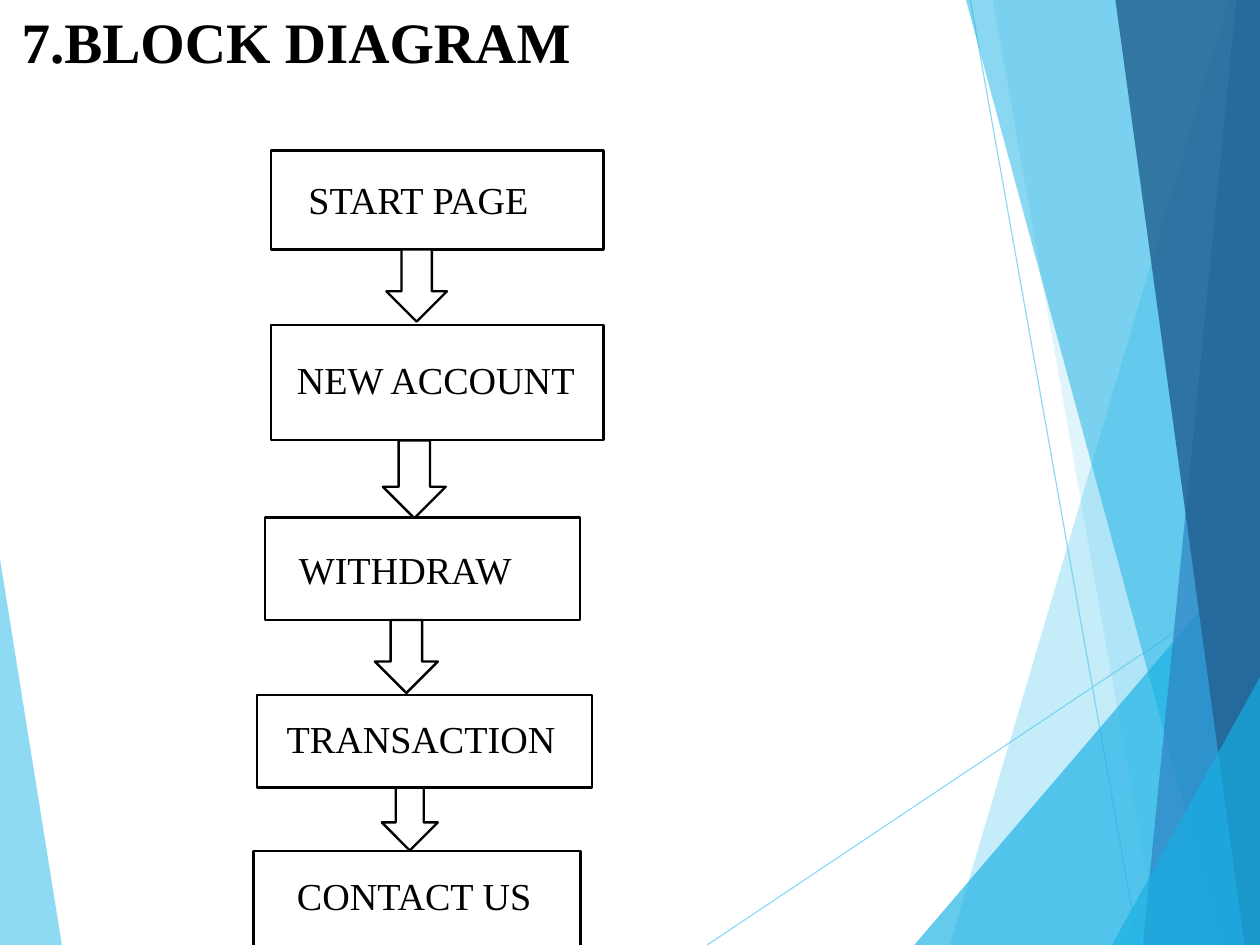
from pptx import Presentation
from pptx.dml.color import RGBColor
from pptx.enum.shapes import MSO_CONNECTOR as Link, MSO_SHAPE as Kind
from pptx.enum.text import MSO_ANCHOR as Anchor
from pptx.oxml.ns import qn
from pptx.util import Pt
from lxml.etree import SubElement as Sub

BLACK = RGBColor(0, 0, 0)
WHITE = RGBColor(255, 255, 255)
SKY = RGBColor(0x5F, 0xCB, 0xEF)
CYAN = RGBColor(0x17, 0xB0, 0xE4)
BLUE = RGBColor(0x2E, 0x83, 0xC3)
NAVY = RGBColor(0x23, 0x62, 0x92)
FONT = "Times New Roman"
WIDE, HIGH = 793.75, 595.25

# Box left, top, width, height; label dx, dy, width; arrow dx, width, height
STEPS = [
    ("START PAGE", (170.6, 94.7, 209.7, 62.5), (16.6, 13.2, 164), (72.8, 38.2, 45.4)),
    ("NEW ACCOUNT", (170.6, 204.9, 209.7, 72.5), (9.4, 16, 199), (70.6, 39.6, 49)),
    ("WITHDRAW", (167, 325.9, 198.3, 64.6), (14.2, 14.6, 181), (69.2, 39.6, 46)),
    ("TRANSACTION", (162, 437.6, 211, 58.5), (11.5, 9.5, 197), (78.5, 35.3, 39.6)),
    ("CONTACT US", (159.8, 536.1, 205.9, 61.2), (20.2, 9.6, 164), None),
]


def fade(item, alpha):
    for tone in item._element.xpath(".//a:srgbClr"):
        Sub(tone, qn("a:alpha"), val=str(alpha * 1000))


def facet(slide, box, points, color, alpha):
    left, top = box[:2]
    spots = [(Pt(left + x), Pt(top + y)) for x, y in points]
    pen = slide.shapes.build_freeform(*spots[0])
    pen.add_line_segments(spots[1:])
    shape = pen.convert_to_shape()
    shape.shadow.inherit = False
    shape.fill.solid()
    shape.fill.fore_color.rgb = color
    shape.line.fill.background()
    fade(shape, alpha)


def thin(slide, box, start, end):
    left, top = box[:2]
    line = slide.shapes.add_connector(
        Link.STRAIGHT, Pt(left + start[0]), Pt(top + start[1]),
        Pt(left + end[0]), Pt(top + end[1]))
    line.line.color.rgb = SKY
    line.line.width = Pt(0.75)
    fade(line, 70)
    Sub(line._element.spPr, qn("a:effectLst"))


def decor(slide, box):
    wide, high = box[2:]
    # Left wedge and thin lines
    facet(slide, box, [(0, 352), (39, high), (0, high)], SKY, 70)
    thin(slide, box, (445.5, high), (wide, 362.3))
    thin(slide, box, (611.3, 0), (717.1, high))
    # Right facets: edge from top or side to bottom, closed along the right
    facets = [
        ((774, 0), 598.3, SKY, 36),
        ((625.5, 0), 730, SKY, 20),
        ((wide, 340.5), 576, CYAN, 66),
        ((608.5, 0), 769.7, CYAN, 50),
        ((778.8, 0), 720, BLUE, 70),
        ((702.7, 0), 784, NAVY, 82),
        ((wide, 426.5), 700.5, CYAN, 66),
    ]
    for start, foot, color, alpha in facets:
        points = [start, (foot, high), (wide, high)]
        if start[0] < wide:
            points.append((wide, 0))
        facet(slide, box, points, color, alpha)


def write(slide, box, text, size, bold=False):
    frame = slide.shapes.add_textbox(*map(Pt, box)).text_frame
    frame.word_wrap = True
    frame.vertical_anchor = Anchor.TOP
    para = frame.paragraphs[0]
    para.text = text
    font = para.font
    font.name, font.size, font.bold = FONT, Pt(size), bold
    font.color.rgb = BLACK


def block(slide, box, kind):
    shape = slide.shapes.add_shape(kind, *map(Pt, box))
    shape.shadow.inherit = False
    shape.fill.solid()
    shape.fill.fore_color.rgb = WHITE
    shape.line.color.rgb = BLACK
    shape.line.width = Pt(1.5)


def step(slide, box, text, label, arrow):
    left, top, wide, high = box
    block(slide, box, Kind.RECTANGLE)
    dx, dy, span = label
    write(slide, (left + dx, top + dy, span, 36), text, 24)
    if arrow:
        dx, span, drop = arrow
        block(slide, (left + dx, top + high, span, drop), Kind.DOWN_ARROW)


def main():
    deck = Presentation()
    deck.slide_width, deck.slide_height = Pt(WIDE), Pt(HIGH)
    slide = deck.slides.add_slide(deck.slide_layouts[6])
    decor(slide, (0, 0, WIDE, HIGH))
    write(slide, (6.5, 0.7, 551, 114.5), "7.BLOCK DIAGRAM", 36, True)
    for text, box, label, arrow in STEPS:
        step(slide, box, text, label, arrow)
    deck.save("out.pptx")


if __name__ == "__main__":
    main()
